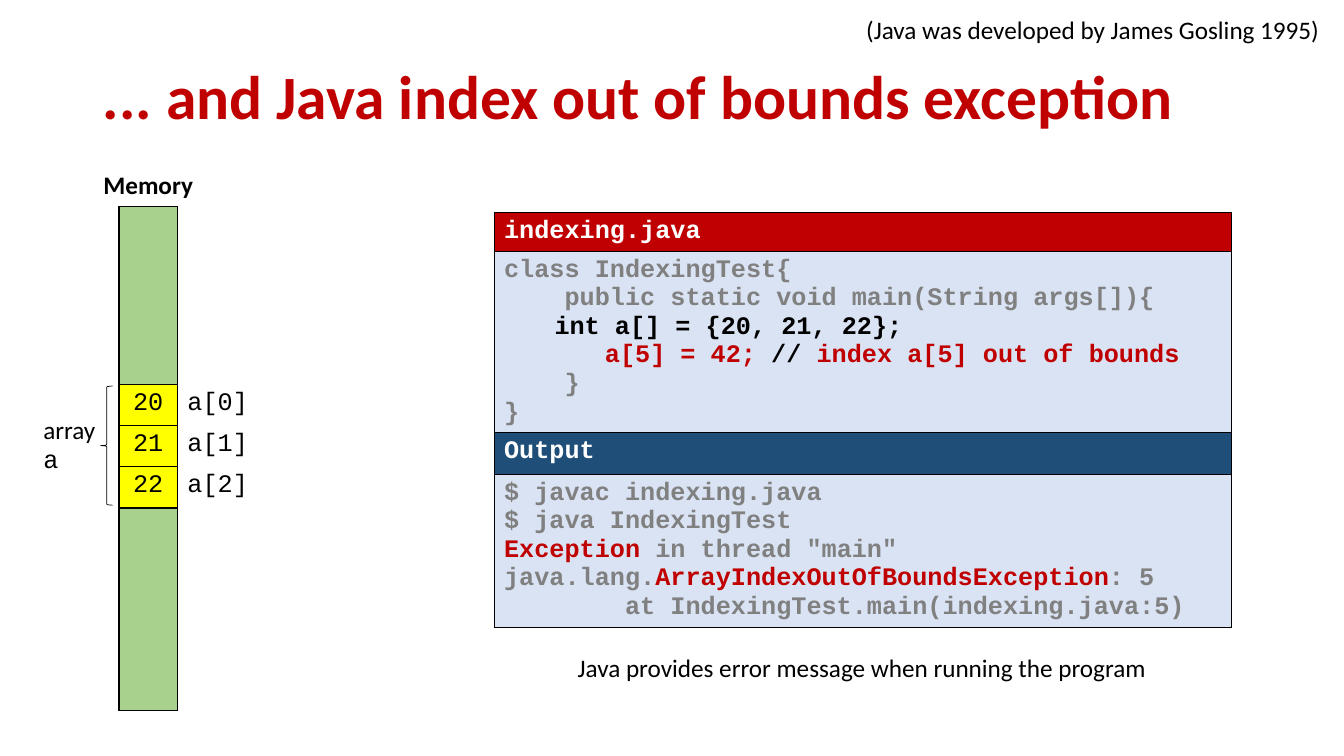
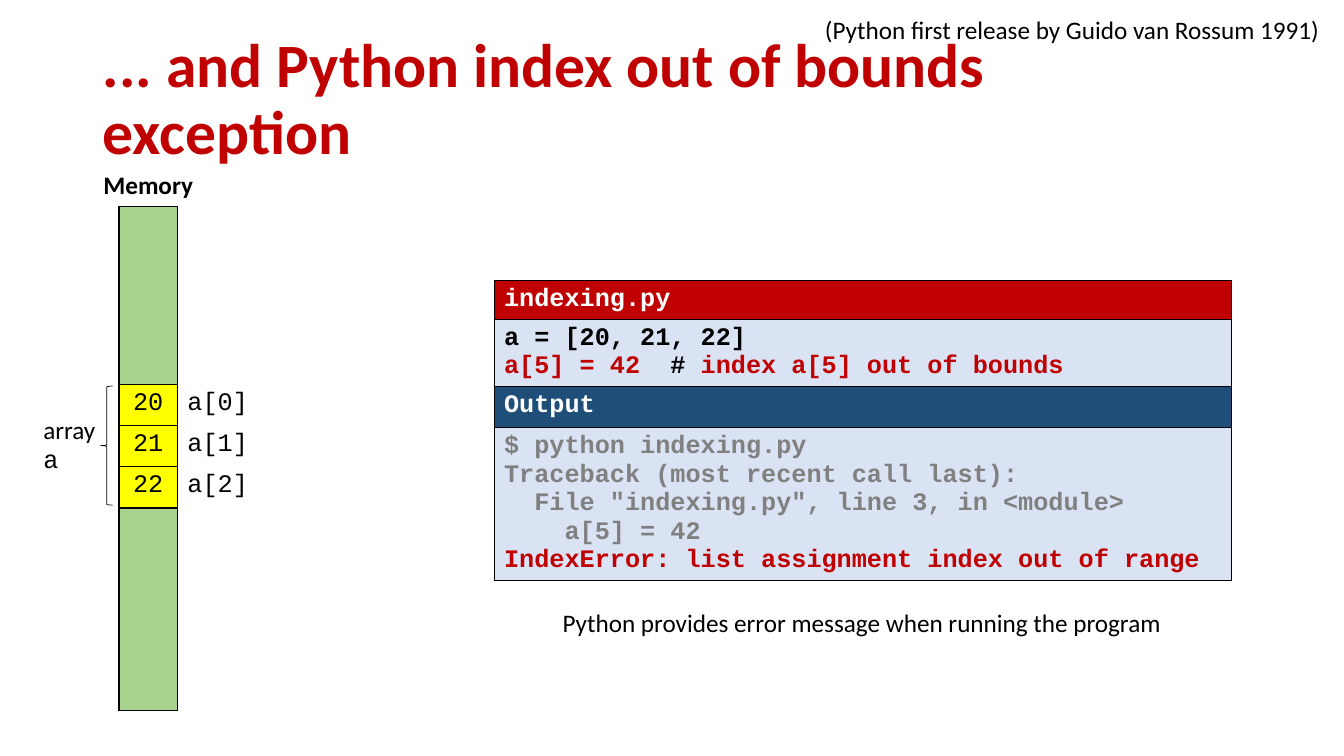
from dataclasses import dataclass

from lxml import etree
from pptx import Presentation
from pptx.dml.color import RGBColor
from pptx.enum.shapes import MSO_SHAPE
from pptx.enum.text import MSO_ANCHOR, MSO_AUTO_SIZE, PP_ALIGN
from pptx.oxml.ns import qn
from pptx.util import Cm, Pt

LEFT, CENTER, RIGHT = PP_ALIGN.LEFT, PP_ALIGN.CENTER, PP_ALIGN.RIGHT
MIDDLE = MSO_ANCHOR.MIDDLE
NO_AUTOFIT, GROW = MSO_AUTO_SIZE.NONE, MSO_AUTO_SIZE.SHAPE_TO_FIT_TEXT
BRACE = MSO_SHAPE.LEFT_BRACE

BLACK, WHITE, GRAY, RED = "000000", "FFFFFF", "808080", "C00000"
NAVY, PALE, GREEN, YELLOW = "1F4E79", "DAE3F3", "A9D18E", "FFFF00"
SANS, MONO = "Calibri", "Courier New"
PLAIN_STYLE = "{2D5ABB26-0587-4C30-8999-92F81FD0307C}"

ARRAY_VALUES = (20, 21, 22)
HEADER_H, OUTPUT_H, CONSOLE_H = 0.98, 1.04, 3.86
LINE_H, CELL_PADDING = 0.72, 0.25
NOTE_RIGHT = 33.5


@dataclass(frozen=True)
class Span:
    text: str
    color: str = GRAY


Line = tuple[Span, ...]


@dataclass(frozen=True)
class Example:
    title: str
    title_top: float
    note: str
    note_width: float
    file_name: str
    listing_top: float
    code: tuple[Line, ...]
    console: tuple[Line, ...]
    caption: str
    caption_top: float


OUT_OF_BOUNDS = Span("index a[5] out of bounds", RED)

EXAMPLES = (
    Example(
        title="... and Java index out of bounds exception",
        title_top=0.66,
        note="(Java was developed by James Gosling 1995)",
        note_width=12.19,
        file_name="indexing.java",
        listing_top=5.35,
        code=(
            (Span("class IndexingTest{"),),
            (Span("    public static void main(String args[]){"),),
            (Span("\t"), Span("int a[] = {20, 21, 22};", BLACK)),
            (Span("    "), Span("\ta[5] = 42; ", RED), Span("// ", BLACK), OUT_OF_BOUNDS),
            (Span("    }"),),
            (Span("}"),),
        ),
        console=(
            (Span("$ javac indexing.java"),),
            (Span("$ java IndexingTest"),),
            (Span("Exception", RED), Span(' in thread "main" java.lang.'),
             Span("ArrayIndexOutOfBoundsException", RED), Span(": 5")),
            (Span("        at IndexingTest.main(indexing.java:5)"),),
        ),
        caption="Java provides error message when running the program",
        caption_top=16.31,
    ),
    Example(
        title="... and Python index out of bounds exception",
        title_top=0.71,
        note="(Python first release by Guido van Rossum 1991)",
        note_width=15.47,
        file_name="indexing.py",
        listing_top=7.06,
        code=(
            (Span("a = [20, 21, 22]", BLACK),),
            (Span("a[5] = 42  ", RED), Span("# ", BLACK), OUT_OF_BOUNDS),
        ),
        console=(
            (Span("$ python indexing.py"),),
            (Span("Traceback (most recent call last):"),),
            (Span('  File "indexing.py", line 3, in <module>'),),
            (Span("    a[5] = 42"),),
            (Span("IndexError: list assignment index out of range", RED),),
        ),
        caption="Python provides error message when running the program",
        caption_top=15.19,
    ),
)


def rgb(color: str) -> RGBColor:
    return RGBColor.from_string(color)


def add_run(p, text: str, color: str = BLACK, **formats) -> None:
    r = p.add_run()
    r.text = text
    values = {"name": SANS, "size": Pt(18), "bold": False} | formats
    for name, value in values.items():
        setattr(r.font, name, value)
    r.font.color.rgb = rgb(color)


def add_title(s, text: str, top: float) -> None:
    sp = s.shapes.title
    box = {"left": 2.34, "top": top, "width": 29.21, "height": 3.68}
    for name, value in box.items():
        setattr(sp, name, Cm(value))
    tf = sp.text_frame
    tf.auto_size = NO_AUTOFIT
    tf.vertical_anchor = MIDDLE
    p = tf.paragraphs[0]
    p.alignment = LEFT
    p.line_spacing = 0.9
    add_run(p, text, RED, size=Pt(44), bold=True)


def add_label(s, text: str, left: float, top: float, width: float, align) -> None:
    tf = s.shapes.add_textbox(Cm(left), Cm(top), Cm(width), Cm(1.02)).text_frame
    tf.word_wrap = True
    tf.auto_size = GROW
    p = tf.paragraphs[0]
    p.alignment = align
    add_run(p, text)


def add_plain_table(s, left: float, top: float, widths: list[float], heights: list[float]):
    """Add a table with no banding, borders or cell fills."""
    frame = s.shapes.add_table(len(heights), len(widths), Cm(left), Cm(top),
                               Cm(sum(widths)), Cm(sum(heights)))
    table = frame.table
    table.first_row = table.horz_banding = False
    next(frame._element.iter(qn("a:tableStyleId"))).text = PLAIN_STYLE
    for column, width in zip(table.columns, widths):
        column.width = Cm(width)
    for row, height in zip(table.rows, heights):
        row.height = Cm(height)
    for cell in table.iter_cells():
        cell.fill.background()
    return table


def paint_cell(cell, color: str, border: float) -> None:
    """Fill a cell and outline all four sides; border is in points."""
    cell.fill.solid()
    cell.fill.fore_color.rgb = rgb(color)
    tc_pr = cell._tc.get_or_add_tcPr()
    for i, side in enumerate(("lnL", "lnR", "lnT", "lnB")):
        ln = etree.Element(qn(f"a:{side}"), w=str(Pt(border)))
        fill = etree.SubElement(ln, qn("a:solidFill"))
        etree.SubElement(fill, qn("a:srgbClr"), val=BLACK)
        tc_pr.insert(i, ln)


def add_memory(s) -> None:
    slot = 1.04
    table = add_plain_table(s, 0.51, 4.17, [2.49, 1.47, 2.49],
                            [slot, 4.47, *[slot] * len(ARRAY_VALUES), 5.11])
    heading = table.cell(0, 0)
    heading.merge(table.cell(0, 2))
    p = heading.text_frame.paragraphs[0]
    p.alignment = CENTER
    add_run(p, "Memory", bold=True)

    first, last = 2, 1 + len(ARRAY_VALUES)
    for row in (first - 1, last + 1):
        paint_cell(table.cell(row, 1), GREEN, 1)
    for i, value in enumerate(ARRAY_VALUES):
        cell = table.cell(first + i, 1)
        paint_cell(cell, YELLOW, 1)
        p = cell.text_frame.paragraphs[0]
        p.alignment = CENTER
        add_run(p, str(value), name=MONO)
        add_run(table.cell(first + i, 2).text_frame.paragraphs[0], f"a[{i}]", name=MONO)

    label = table.cell(first, 0)
    label.merge(table.cell(last, 0))
    label.vertical_anchor = MIDDLE
    label.margin_left = Cm(0.58)
    p = label.text_frame.paragraphs[0]
    add_run(p, "array")
    add_run(p, " a", name=MONO)

    brace = s.shapes.add_shape(BRACE, Cm(2.54), Cm(9.73), Cm(0.3), Cm(3))
    brace.shadow.inherit = False
    brace.fill.background()
    brace.line.color.rgb = rgb(BLACK)
    brace.line.width = Pt(0.5)


def add_listing(s, example: Example) -> None:
    code_h = LINE_H * len(example.code) + CELL_PADDING
    table = add_plain_table(s, 12.45, example.listing_top, [18.57],
                            [HEADER_H, code_h, OUTPUT_H, CONSOLE_H])
    sections = (
        (RED, ((Span(example.file_name, WHITE),),)),
        (PALE, example.code),
        (NAVY, ((Span("Output", WHITE),),)),
        (PALE, example.console),
    )
    for row, (color, lines) in enumerate(sections):
        cell = table.cell(row, 0)
        paint_cell(cell, color, 0.5)
        tf = cell.text_frame
        for i, line in enumerate(lines):
            p = tf.add_paragraph() if i else tf.paragraphs[0]
            for span in line:
                add_run(p, span.text, span.color, name=MONO, bold=True)
    table.cell(0, 0).vertical_anchor = MIDDLE


def main() -> None:
    prs = Presentation()
    prs.slide_width, prs.slide_height = Cm(33.87), Cm(19.05)
    title_only = prs.slide_layouts[5]
    for example in EXAMPLES:
        s = prs.slides.add_slide(title_only)
        add_title(s, example.title, example.title_top)
        add_memory(s)
        add_listing(s, example)
        add_label(s, example.caption, 13.21, example.caption_top, 17.02, CENTER)
        add_label(s, example.note, NOTE_RIGHT - example.note_width, 0.23,
                  example.note_width, RIGHT)
    prs.save("out.pptx")


if __name__ == "__main__":
    main()
